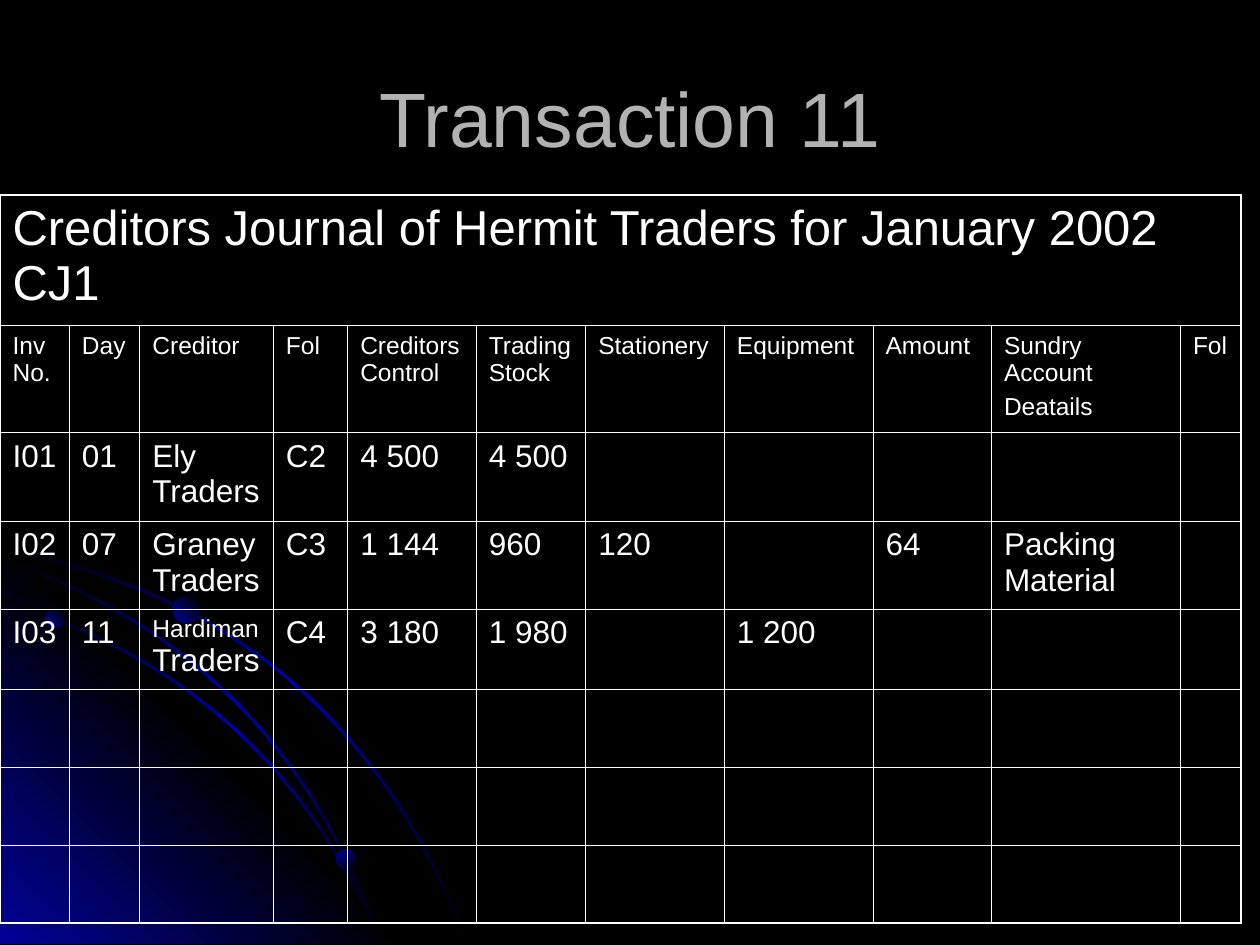
from lxml import etree
from pptx import Presentation
from pptx.dml.color import RGBColor
from pptx.enum import shapes, text
from pptx.oxml import parse_xml
from pptx.oxml.ns import nsdecls, qn
from pptx.util import Inches, Pt

THEME = {
    "font": "Arial", "ground": "000000", "glow": "010199",
    "title": "B2B2B2", "ink": "FFFFFF",
    "title_size": 44, "heading_size": 28, "label_size": 14, "entry_size": 18,
    "outer_line": 1.08, "inner_line": 0.45,
}

deck = Presentation()
deck.slide_width, deck.slide_height = Inches(10), Inches(7.5)
UNIT = deck.slide_width // 10
slide = deck.slides.add_slide(deck.slide_layouts[6])
slide.background.fill.solid()
slide.background.fill.fore_color.rgb = RGBColor.from_string(THEME["ground"])


def glow(shape, names, angle):
    shape.shadow.inherit = False
    shape.line.fill.background()
    shape.fill.background()
    stops = "".join(
        f'<a:gs pos="{i * 100000 // (len(names) - 1)}"><a:srgbClr val="{THEME[n]}"/></a:gs>'
        for i, n in enumerate(names))
    gradient = parse_xml(
        f'<a:gradFill {nsdecls("a")}><a:gsLst>{stops}</a:gsLst>'
        f'<a:lin ang="{angle * 60000}" scaled="0"/></a:gradFill>')
    properties = shape.element.spPr
    properties.replace(properties.find(qn("a:noFill")), gradient)


def style(paragraph, size, color):
    for run in paragraph.runs:
        run.font.name = THEME["font"]
        run.font.size = Pt(size)
        run.font.color.rgb = RGBColor.from_string(THEME[color])


FLOOR = 7.49
CURVE_STEPS = 24
ARC_THICKNESS = 0.02
wide_arc = [(0, 4.35), (2.72, 4.83), (3.72, FLOOR)]
low_arc = [(0, 4.75), (2.2, 5.41), (3.03, FLOOR)]
middle_arc = [(0, 4.42), (2.26, 5.19), (3.03, FLOOR)]
corner = [(0, 4.27), (3.22, FLOOR), (0, FLOOR)]

streak = ["ground", "glow", "ground"]
for anchors, names, angle in [
        (wide_arc, streak, 225), (corner, ["glow", "ground", "glow"], 135),
        (low_arc, streak, 225), (middle_arc, streak, 225)]:
    outline = anchors
    if anchors is not corner:
        start, bend, end = anchors
        inner_edge = [
            (start[0], start[1] + ARC_THICKNESS),
            (bend[0] - ARC_THICKNESS, bend[1] + ARC_THICKNESS),
            (end[0] - ARC_THICKNESS, end[1])]
        edges = []
        for edge in (anchors, inner_edge):
            edges.append([
                tuple((1 - t) ** 2 * a + 2 * t * (1 - t) * b + t ** 2 * c
                      for a, b, c in zip(*edge))
                for t in (step / CURVE_STEPS for step in range(CURVE_STEPS + 1))])
        outline = edges[0] + edges[1][::-1]
    outline = [(int(x * UNIT), int(y * UNIT)) for x, y in outline]
    outliner = slide.shapes.build_freeform(*outline[0])
    outliner.add_line_segments(outline[1:], close=True)
    glow(outliner.convert_to_shape(), names, angle)

for left, top, diameter, angle in [
        (0.36, 4.83, 0.15, 135), (2.67, 6.74, 0.16, 225), (1.37, 4.73, 0.21, 135)]:
    bead = slide.shapes.add_shape(
        shapes.MSO_SHAPE.OVAL, *[int(v * UNIT) for v in (left, top, diameter, diameter)])
    glow(bead, ["ground", "glow"], angle)

title = slide.shapes.add_textbox(
    *[int(v * UNIT) for v in (0.5, 0.3, 9, 1.25)]).text_frame
title.word_wrap = True
title.vertical_anchor = text.MSO_ANCHOR.MIDDLE
title.text = "Transaction 11"
title.paragraphs[0].alignment = text.PP_ALIGN.CENTER
style(title.paragraphs[0], THEME["title_size"], "title")

heading = ["Creditors Journal of Hermit Traders for January 2002 CJ1"]
labels = ["Inv No.", "Day", "Creditor", "Fol", "Creditors Control", "Trading Stock",
          "Stationery", "Equipment", "Amount", "Sundry Account\nDeatails", "Fol"]
invoices = [
    ["I01", "01", "Ely Traders", "C2", "4 500", "4 500"],
    ["I02", "07", "Graney Traders", "C3", "1 144", "960", "120", "", "64",
     "Packing Material"],
    ["I03", "11", "Hardiman ", "C4", "3 180", "1 980", "", "1 200"],
]
spare_rows = [[]] * 3
journal_rows = [heading, labels] + invoices + spare_rows
sizes = [THEME["heading_size"], THEME["label_size"]]
sizes += [THEME["entry_size"]] * (len(journal_rows) - len(sizes))
widths = [0.55, 0.56, 1.06, 0.59, 1.02, 0.87, 1.1, 1.18, 0.94, 1.5, 0.48]
heights = [1.03, 0.84, 0.7, 0.7, 0.63] + [0.62] * len(spare_rows)
last_row, last_column = len(heights) - 1, len(widths) - 1

journal = slide.shapes.add_table(
    len(heights), len(widths), 0, int(1.55 * UNIT),
    int(sum(widths) * UNIT), int(sum(heights) * UNIT)).table
journal.first_row = journal.horz_banding = False
for column, width in zip(journal.columns, widths):
    column.width = int(width * UNIT)
for row, height in zip(journal.rows, heights):
    row.height = int(height * UNIT)
journal.cell(0, 0).merge(journal.cell(0, last_column))

for r, (entries, size) in enumerate(zip(journal_rows, sizes)):
    for c, entry in enumerate(entries):
        if entry:
            entry_frame = journal.cell(r, c).text_frame
            entry_frame.text = entry
            for i, paragraph in enumerate(entry_frame.paragraphs):
                if i:
                    paragraph.space_before = Pt(size / 4)
                style(paragraph, size, "ink")

hardiman = journal.cell(4, 2).text_frame.paragraphs[0]
hardiman.add_run().text = "Traders"
style(hardiman, THEME["entry_size"], "ink")
hardiman.runs[0].font.size = Pt(THEME["label_size"])

for r in range(len(heights)):
    for c in range(len(widths)):
        cell = journal.cell(r, c)
        cell.fill.background()
        on_outside = {"lnL": c == 0, "lnR": c == last_column or r == 0,
                      "lnT": r == 0, "lnB": r == last_row}
        properties = cell._tc.get_or_add_tcPr()
        for i, (side, outer) in enumerate(on_outside.items()):
            weight = Pt(THEME["outer_line" if outer else "inner_line"])
            border = etree.Element(qn(f"a:{side}"), w=str(int(weight)))
            solid = etree.SubElement(border, qn("a:solidFill"))
            etree.SubElement(solid, qn("a:srgbClr"), val=THEME["ink"])
            properties.insert(i, border)

deck.save("out.pptx")
